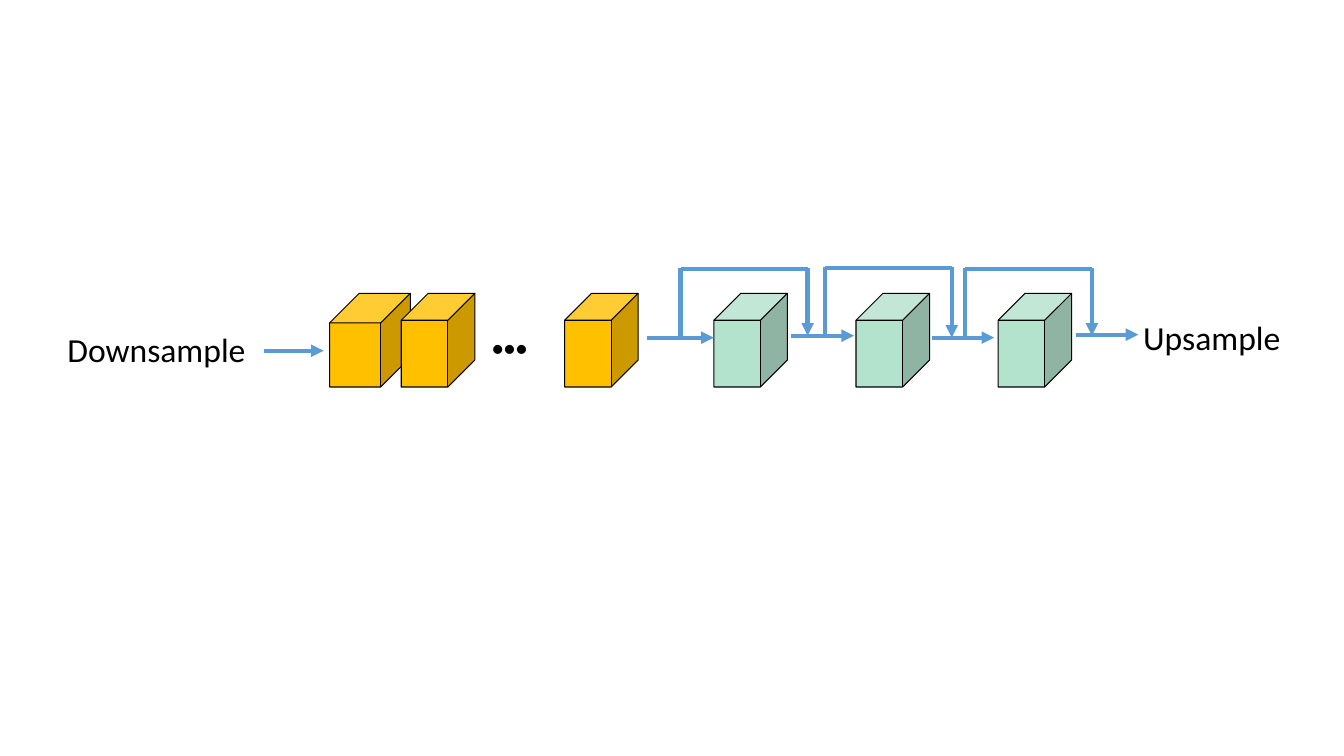
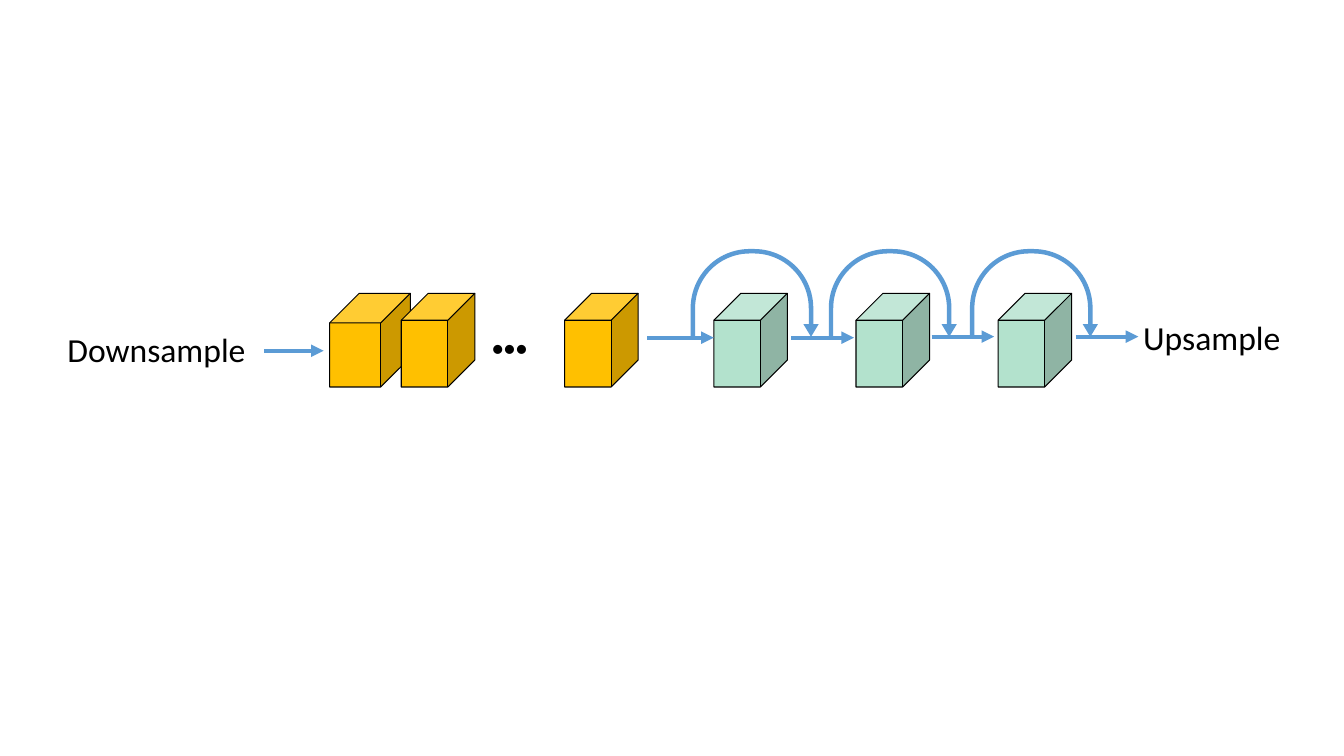
import lxml.etree
import pptx
import pptx.dml.color
import pptx.enum.shapes
import pptx.oxml.ns
import pptx.util

Inches = pptx.util.Inches
Shapes = pptx.enum.shapes.MSO_SHAPE
qualified = pptx.oxml.ns.qn

AMBER = "FFC000"
MINT = "B3E2CD"
BLUE = "5B9BD5"
BLACK = "000000"
FONT = "Calibri"

BLOCK_WIDTH = 0.73
BLOCK_HEIGHT = 0.93
BLOCK_STEP = 1.41
UTURN_ADJUSTMENTS = [0.051, 0.086, 0.144, 0.667, 0.991]


def color(hex_value):
    return pptx.dml.color.RGBColor.from_string(hex_value)


def set_values(target, values):
    for name, value in values.items():
        setattr(target, name, value)


def add_line(slide, start, end, arrow=False):
    points = [Inches(value) for value in (*start, *end)]
    connector = slide.shapes.add_connector(
        pptx.enum.shapes.MSO_CONNECTOR.STRAIGHT, *points)
    connector.line.color.rgb = color(BLUE)
    connector.line.width = pptx.util.Pt(3)
    properties = connector.element.find(qualified("p:spPr"))
    if arrow:
        outline = properties.find(qualified("a:ln"))
        lxml.etree.SubElement(outline, qualified("a:tailEnd"), type="triangle")
    lxml.etree.SubElement(properties, qualified("a:effectLst"))


def add_text(slide, text, left, top, width, height, size):
    box = slide.shapes.add_textbox(
        Inches(left), Inches(top), Inches(width), Inches(height))
    box.text_frame.word_wrap = True
    run = box.text_frame.paragraphs[0].add_run()
    run.text = text
    set_values(run.font, {"name": FONT, "size": pptx.util.Pt(size)})
    run.font.color.rgb = color(BLACK)


def add_filled_shape(slide, kind, left, top, width, height, fill, adjustments):
    shape = slide.shapes.add_shape(
        kind, Inches(left), Inches(top), Inches(width), Inches(height))
    shape.shadow.inherit = False
    shape.fill.solid()
    shape.fill.fore_color.rgb = color(fill)
    for index, value in enumerate(adjustments):
        shape.adjustments[index] = value
    return shape


def add_block(slide, left, top, fill, width=BLOCK_WIDTH):
    block = add_filled_shape(
        slide, Shapes.CUBE, left, top, width, BLOCK_HEIGHT, fill, [0.367])
    block.line.color.rgb = color(BLACK)
    block.line.width = pptx.util.Pt(0)


def draw_downsample(slide, left, top):
    add_text(slide, "Downsample", left, top + 0.3, 2.3, 0.5, 24)
    add_line(slide, (left + 2.05, top + 0.57), (left + 2.64, top + 0.57), arrow=True)
    for offset, width in [(2.7, 0.8), (3.41, BLOCK_WIDTH), (5.03, BLOCK_WIDTH)]:
        add_block(slide, left + offset, top, AMBER, width)
    add_text(slide, "●●●", left + 4.21, top + 0.37, 1.4, 0.34, 14)


def draw_residual_chain(slide, left, top, arrow_offsets, label_width):
    for index in range(3):
        add_block(slide, left + 0.66 + index * BLOCK_STEP, top, MINT)
    spans = [(0, 0.66), (1.43, 2.05), (2.82, 3.44), (4.25, 4.87)]
    for (start, end), offset in zip(spans, arrow_offsets):
        add_line(slide, (left + start, top + offset), (left + end, top + offset), arrow=True)
    add_text(slide, "Upsample", left + 4.82, top + 0.18, label_width, 0.5, 24)


def draw_square_skips(slide, left, top):
    skips = [(0.33, -0.24, 0.44, 0.42), (1.76, -0.25, 0.43, 0.44), (3.15, -0.24, 0.44, 0.42)]
    for offset, rise, start_drop, end_drop in skips:
        near, far = left + offset, left + offset + 1.26
        bar = top + rise
        add_line(slide, (near, top + start_drop), (near, bar - 0.01))
        add_line(slide, (near, bar), (far, bar))
        add_line(slide, (far, bar - 0.01), (far, top + end_drop), arrow=True)


def draw_curved_skips(slide, left, top):
    for offset in (0.43, 1.8, 3.2):
        arrow = add_filled_shape(
            slide, Shapes.U_TURN_ARROW, left + offset, top - 0.44, 1.27, 0.88,
            BLUE, UTURN_ADJUSTMENTS)
        arrow.line.fill.background()


def draw_network(presentation, draw_skips, arrow_offsets, label_width):
    slide = presentation.slides.add_slide(presentation.slide_layouts[6])
    top = 2.91
    chain_left = 6.42
    draw_downsample(slide, 0.57, top)
    draw_residual_chain(slide, chain_left, top, arrow_offsets, label_width)
    draw_skips(slide, chain_left, top)


def main():
    presentation = pptx.Presentation()
    set_values(presentation, {"slide_width": Inches(13.33), "slide_height": Inches(7.5)})
    draw_network(presentation, draw_square_skips, (0.44, 0.42, 0.44, 0.41), 1.83)
    draw_network(presentation, draw_curved_skips, (0.44, 0.44, 0.43, 0.43), 1.94)
    presentation.save("out.pptx")


if __name__ == "__main__":
    main()
